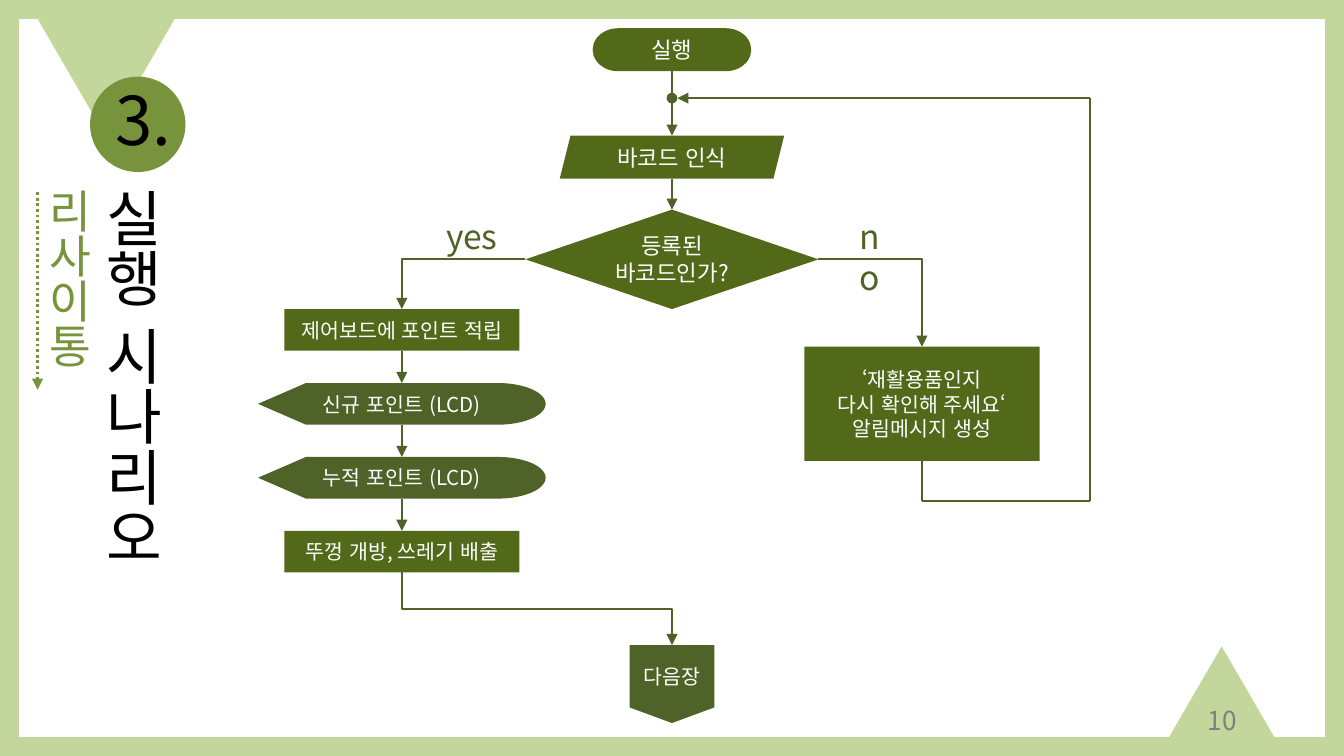
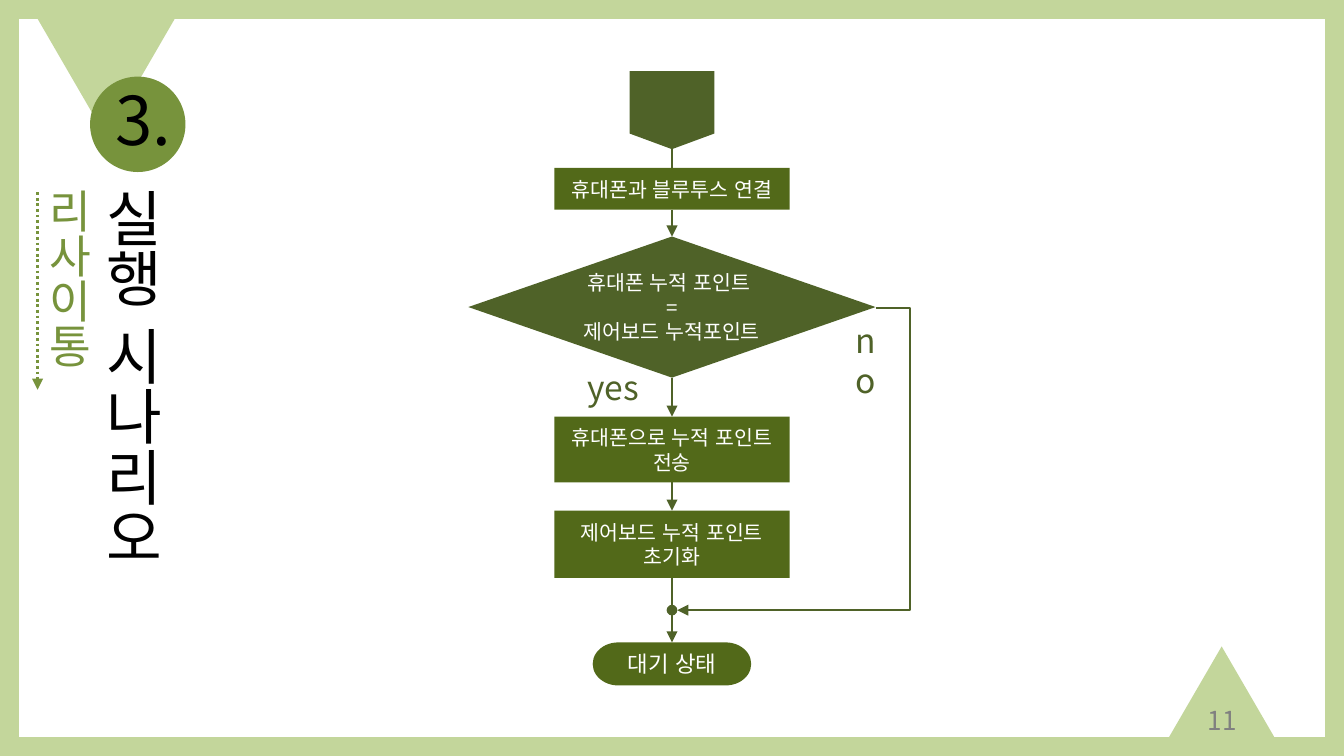
from lxml import etree
from pptx import Presentation
from pptx.dml.color import RGBColor
from pptx.enum.dml import MSO_LINE as Dash
from pptx.enum.lang import MSO_LANGUAGE_ID as Lang
from pptx.enum.shapes import MSO_CONNECTOR as Conn, MSO_SHAPE as Form
from pptx.enum.text import MSO_ANCHOR as Anchor, MSO_AUTO_SIZE as Fit, PP_ALIGN as Align
from pptx.oxml.ns import qn
from pptx.util import Inches, Pt

# Shared look
FONT = "Noto Sans CJK KR"
BAND = RGBColor(0xC3, 0xD6, 0x9B)
LEAF = RGBColor(0x77, 0x93, 0x3C)
MOSS = RGBColor(0x52, 0x69, 0x19)
PINE = RGBColor(0x4F, 0x62, 0x28)
GREY = RGBColor(0x80, 0x80, 0x80)
BLACK = RGBColor(0, 0, 0)
WHITE = RGBColor(0xFF, 0xFF, 0xFF)
WIDE = 10
HIGH = WIDE * 9 / 16
TITLE, TEAM = "실행 시나리오", "리사이통"


def style(font, size, color):
    font.name, font.size = FONT, Pt(size)
    font.color.rgb = color
    font.language_id = Lang.KOREAN
    etree.SubElement(font._rPr, qn("a:ea"), typeface=FONT)


class Pen:
    """Draws on a slide, in inches from the left top corner of a region."""

    def __init__(self, slide, left, top):
        self.slide, self.left, self.top = slide, left, top

    def spot(self, x, y):
        return Inches(self.left + x), Inches(self.top + y)

    def shape(self, form, x, y, w, h, fill):
        shape = self.slide.shapes.add_shape(form, *self.spot(x, y), Inches(w), Inches(h))
        shape.shadow.inherit = False
        shape.fill.solid()
        shape.fill.fore_color.rgb = fill
        shape.line.fill.background()
        return shape

    def node(self, form, mid, y, w, h, text="", size=11, fill=MOSS):
        """Flow step centred on the x position mid."""
        shape = self.shape(form, mid - w / 2, y, w, h, fill)
        if text:
            frame = shape.text_frame
            frame.word_wrap = form == Form.RECTANGLE
            frame.vertical_anchor = Anchor.MIDDLE
            frame.text = text
            for par in frame.paragraphs:
                par.alignment = Align.CENTER
                style(par.font, size, WHITE)

    def dot(self, x, y):
        self.shape(Form.OVAL, x - 0.04, y - 0.04, 0.08, 0.08, PINE)

    def text(self, text, x, y, w, h, size, color, wrap=False):
        box = self.slide.shapes.add_textbox(*self.spot(x, y), Inches(w), Inches(h))
        frame = box.text_frame
        frame.word_wrap = wrap
        frame.text = text
        style(frame.paragraphs[0].font, size, color)
        return frame

    def line(self, start, end, head=True, kind=Conn.STRAIGHT, color=PINE, width=1, dash=None):
        link = self.slide.shapes.add_connector(kind, *self.spot(*start), *self.spot(*end))
        link.line.color.rgb = color
        link.line.width = Pt(width)
        if dash:
            link.line.dash_style = dash
        props = link._element.spPr
        if head:
            etree.SubElement(props.find(qn("a:ln")), qn("a:tailEnd"), type="triangle")
        etree.SubElement(props, qn("a:effectLst"))
        return props

    def corner(self, start, end):
        """Arrow that runs sideways, then down."""
        props = self.line(start, end, kind=Conn.ELBOW)
        props.find(qn("a:prstGeom")).set("prst", "bentConnector2")

    def step(self, start, end):
        """Arrow that runs down, across and down: a sideways elbow turned by 90 degrees."""
        (x1, y1), (x2, y2) = start, end
        mx, my = (x1 + x2) / 2, (y1 + y2) / 2
        dx, dy = (x2 - x1) / 2, (y2 - y1) / 2
        props = self.line((mx - dy, my + dx), (mx + dy, my - dx), kind=Conn.ELBOW)
        props.find(qn("a:xfrm")).set("rot", "5400000")

    def loop(self, start, end, side):
        """Arrow that runs out to x = side and back."""
        props = self.line(start, end, kind=Conn.ELBOW)
        rate = (side - start[0]) / (end[0] - start[0])
        guides = props.find(qn("a:prstGeom")).find(qn("a:avLst"))
        etree.SubElement(guides, qn("a:gd"), name="adj1", fmla=f"val {round(rate * 100000)}")


def add_frame(slide, page):
    # Border and corner triangles
    pen = Pen(slide, 0, 0)
    border = pen.shape(Form.FRAME, 0, 0, WIDE, HIGH, BAND)
    border.adjustments[0] = 0.025
    pen.shape(Form.ISOSCELES_TRIANGLE, 0.28, 0.14, 1.02, 0.88, BAND).rotation = 180
    pen.shape(Form.ISOSCELES_TRIANGLE, 8.62, 4.81, 0.94, 0.81, BAND)
    # Page number
    number = pen.text(str(page), 8.78, 5.21, 0.63, 0.3, 14, GREY, wrap=True)
    number.vertical_anchor = Anchor.MIDDLE
    number.paragraphs[0].alignment = Align.CENTER


def add_title(slide, left, top):
    # Section badge and dotted arrow
    pen = Pen(slide, left, top)
    pen.shape(Form.OVAL, 0.39, 0.04, 0.71, 0.71, LEAF)
    pen.text("3.", 0.48, 0, 0.69, 0.71, 36, BLACK)
    pen.line((0, 0.9), (0, 2.37), color=LEAF, width=1.5, dash=Dash.ROUND_DOT)
    # Upright title
    title = slide.shapes.title
    title.left, title.top = pen.spot(0.07, 0.82)
    title.width, title.height = Inches(0.86), Inches(4.33)
    frame = title.text_frame
    frame.auto_size = Fit.NONE
    frame.vertical_anchor = Anchor.MIDDLE
    frame._txBody.bodyPr.set("vert", "eaVert")
    par = frame.paragraphs[0]
    par.alignment = Align.LEFT
    for text, size, color in ((TITLE, 32.4, BLACK), (TEAM, 24.3, LEAF)):
        if par.runs:
            par.add_line_break()
        run = par.add_run()
        run.text = text
        style(run.font, size, color)


def scan_flow(slide, left, top):
    pen = Pen(slide, left, top)
    yes, mid, no, back = 1.09, 3.1, 4.96, 6.21
    join, fork, turn = 0.53, 1.73, 3.53

    # Start, scan and check
    pen.line((mid, 0.33), (mid, 0.81))
    pen.line((mid, 1.13), (mid, 1.36))
    pen.node(Form.FLOWCHART_TERMINATOR, mid, 0.01, 1.18, 0.32, "실행", 12)
    pen.dot(mid, join)
    pen.node(Form.PARALLELOGRAM, mid, 0.81, 1.67, 0.32, "바코드 인식", 12)
    pen.node(Form.FLOWCHART_DECISION, mid, 1.36, 2.18, 0.74, "등록된\n바코드인가?", 12)

    # Yes lane: evenly spaced steps
    pen.text("yes", 1.32, 1.36, 0.59, 0.4, 18, PINE)
    pen.corner((mid - 1.09, fork), (yes, 2.1))
    steps = (
        (Form.RECTANGLE, 1.75, "제어보드에 포인트 적립", MOSS),
        (Form.FLOWCHART_DISPLAY, 2.14, "신규 포인트 (LCD)", PINE),
        (Form.FLOWCHART_DISPLAY, 2.14, "누적 포인트 (LCD)", PINE),
        (Form.RECTANGLE, 1.75, "뚜껑 개방, 쓰레기 배출", MOSS),
    )
    gap, high = 0.55, 0.31
    for i, (form, w, text, fill) in enumerate(steps):
        y = 2.1 + i * gap
        pen.node(form, yes, y, w, high, text, fill=fill)
        if i:
            pen.line((yes, y - gap + high), (yes, y))
    pen.step((yes, 4.06), (mid, 4.6))
    pen.node(Form.FLOWCHART_OFFPAGE_CONNECTOR, mid, 4.6, 0.63, 0.58, "다음장", fill=PINE)

    # No lane: message and way back
    pen.text("no", 4.4, 1.36, 0.49, 0.4, 18, PINE, wrap=True)
    pen.corner((mid + 1.09, fork), (no, 2.38))
    pen.node(Form.RECTANGLE, no, 2.38, 1.75, 0.85,
             "‘재활용품인지\n다시 확인해 주세요‘\n알림메시지 생성")
    pen.line((no, 3.23), (no, turn), head=False)
    pen.line((no, turn), (back, turn), head=False)
    pen.line((back, join), (back, turn), head=False)
    pen.line((back, join), (mid + 0.04, join))


def phone_flow(slide, left, top):
    pen = Pen(slide, left, top)
    mid, join = 1.6, 4.04

    # Links down the main lane
    pen.line((mid, 0.61), (mid, 0.75), head=False)
    for y1, y2 in ((1.06, 1.26), (2.31, 2.6), (3.09, 3.3), (3.8, 4.28)):
        pen.line((mid, y1), (mid, y2))

    # Steps
    pen.node(Form.FLOWCHART_OFFPAGE_CONNECTOR, mid, 0.03, 0.63, 0.58, fill=PINE)
    pen.node(Form.RECTANGLE, mid, 0.75, 1.75, 0.31, "휴대폰과 블루투스 연결")
    pen.node(Form.FLOWCHART_DECISION, mid, 1.26, 3.03, 1.05,
             "휴대폰 누적 포인트 \n=\n제어보드 누적포인트", fill=PINE)
    pen.node(Form.RECTANGLE, mid, 2.6, 1.75, 0.49, "휴대폰으로 누적 포인트 전송")
    pen.node(Form.RECTANGLE, mid, 3.3, 1.75, 0.5, "제어보드 누적 포인트\n초기화")
    pen.node(Form.FLOWCHART_TERMINATOR, mid, 4.28, 1.18, 0.32, "대기 상태", 12)

    # Branches
    pen.text("yes", 0.87, 2.18, 0.59, 0.4, 18, PINE)
    pen.text("no", 2.87, 1.83, 0.49, 0.4, 18, PINE, wrap=True)
    pen.loop((3.12, 1.79), (mid + 0.04, join), 3.37)
    pen.dot(mid, join)


def main():
    deck = Presentation()
    deck.slide_width, deck.slide_height = Inches(WIDE), Inches(HIGH)
    flows = ((scan_flow, 1.9, 0.2), (phone_flow, 3.4, 0.5))
    for page, (flow, left, top) in enumerate(flows, 10):
        slide = deck.slides.add_slide(deck.slide_layouts[5])
        add_frame(slide, page)
        add_title(slide, 0.28, 0.53)
        flow(slide, left, top)
    deck.save("out.pptx")


if __name__ == "__main__":
    main()
